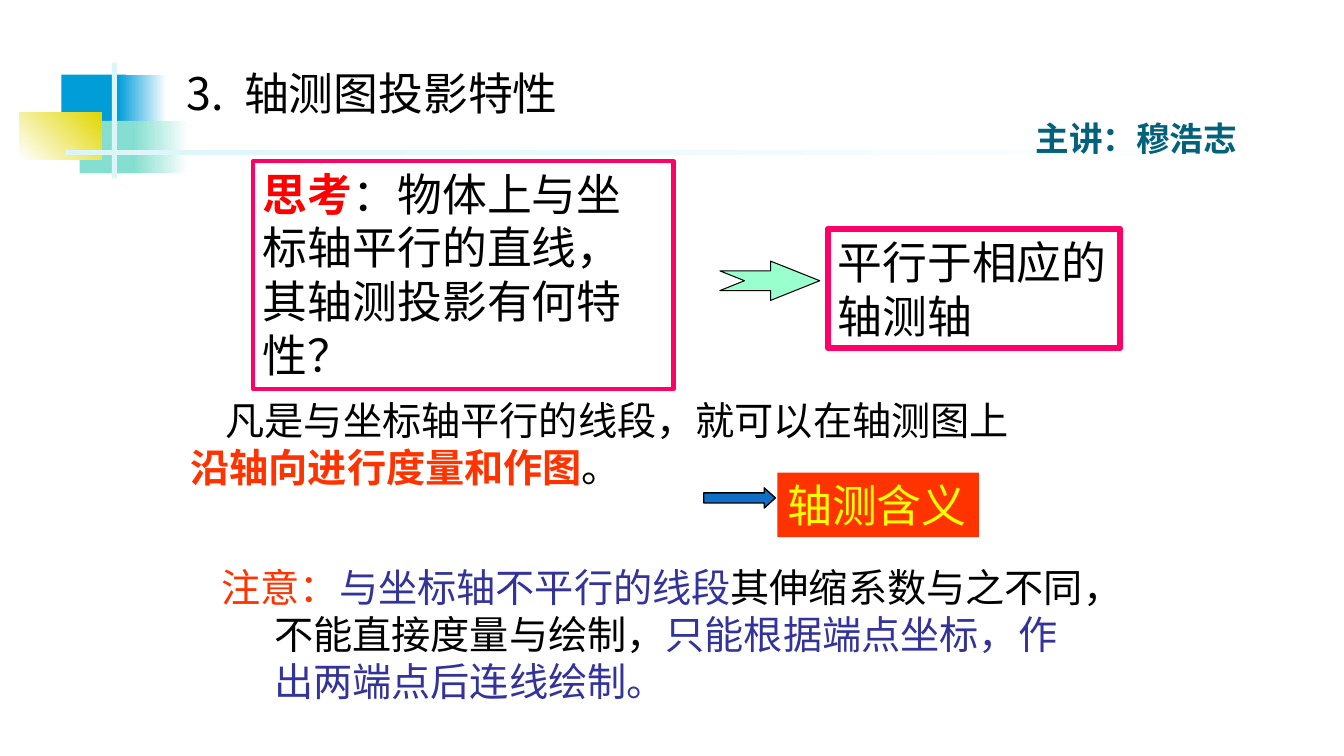
from dataclasses import dataclass

from lxml.etree import SubElement
from pptx import Presentation
from pptx.dml.color import RGBColor
from pptx.enum.shapes import MSO_SHAPE as Preset
from pptx.enum.text import MSO_ANCHOR as Anchor, MSO_AUTO_SIZE as AutoSize, PP_ALIGN as Align
from pptx.oxml.ns import qn
from pptx.util import Inches, Pt


@dataclass(frozen=True)
class Theme:
    font: str = "Noto Sans CJK SC"
    label_font: str = "Arial"
    black: str = "000000"
    white: str = "FFFFFF"
    blue: str = "009DD9"
    arrow_blue: str = "0F6FC6"
    mint: str = "85DFD0"
    arrow_mint: str = "99FFCC"
    pale: str = "DBF5F9"
    gold: str = "E2D700"
    teal: str = "04617B"
    pink: str = "FF0066"
    red: str = "FF0000"
    orange: str = "FF3300"
    indigo: str = "333399"
    yellow: str = "FFFF00"
    large: int = 32
    body: int = 28
    small: int = 24


THEME = Theme()


def color(value):
    return RGBColor.from_string(value)


def add_shape(slide, box, fill=None, line=None, width=1, fade=None, angle=0, preset=Preset.RECTANGLE):
    shape = slide.shapes.add_shape(preset, *map(Inches, box))
    shape.shadow.inherit = False
    if fade:
        shape.fill.gradient()
        shape.fill.gradient_angle = angle
        for stop, value in zip(shape.fill.gradient_stops, (fill, fade)):
            stop.color.rgb = color(value)
    elif fill:
        shape.fill.solid()
        shape.fill.fore_color.rgb = color(fill)
    else:
        shape.fill.background()
    if line:
        shape.line.color.rgb = color(line)
        shape.line.width = Pt(width)
    else:
        shape.line.fill.background()
    return shape


def add_arrow(slide, preset, box, fill, width, head):
    arrow = add_shape(slide, box, fill, THEME.black, width, preset=preset)
    arrow.adjustments[0] = 0.5
    arrow.adjustments[1] = head


def add_text_box(slide, box):
    return slide.shapes.add_textbox(*map(Inches, box))


def write(shape, lines, size, anchor=Anchor.MIDDLE, align=Align.LEFT, wrap=True,
          font=THEME.font, indents=()):
    frame = shape.text_frame
    frame.auto_size = AutoSize.NONE
    frame.word_wrap = wrap
    frame.vertical_anchor = anchor
    frame.text = "\n".join("".join(text for text, *_ in line) for line in lines)
    for paragraph, line in zip(frame.paragraphs, lines):
        paragraph.alignment = align
        paragraph.text = ""
        for text, value, *bold in line:
            run = paragraph.add_run()
            run.text = text
            run.font.size = Pt(size)
            run.font.bold = bool(bold)
            run.font.color.rgb = color(value)
            run.font.name = font
            SubElement(run.font._element, qn("a:ea")).set("typeface", font)
    for paragraph, indent in zip(frame.paragraphs, indents):
        paragraph._p.get_or_add_pPr().set("marL", str(Inches(indent)))


def add_title(slide, box, text):
    title = slide.shapes.title
    title.left, title.top, title.width, title.height = map(Inches, box)
    write(title, [[(text, THEME.black)]], THEME.large, Anchor.TOP, wrap=False)


def add_decoration(slide):
    add_shape(slide, (0.61, 0.74, 0.64, 0.52), THEME.blue)
    add_shape(slide, (1.17, 0.74, 0.48, 0.52), THEME.blue, fade=THEME.white)
    add_shape(slide, (0.79, 1.2, 0.62, 0.52), THEME.mint)
    add_shape(slide, (1.33, 1.2, 0.54, 0.52), THEME.mint, fade=THEME.white)
    add_shape(slide, (0.19, 1.12, 0.82, 0.46), THEME.white, fade=THEME.gold, angle=45)
    add_shape(slide, (1.11, 0.62, 0.05, 1.15), THEME.pale)
    add_shape(slide, (0.65, 1.49, 12, 0.05), THEME.pale, fade=THEME.white)


def main():
    presentation = Presentation()
    presentation.slide_width, presentation.slide_height = Inches(13.33), Inches(7.5)
    slide = presentation.slides.add_slide(presentation.slide_layouts[5])
    add_decoration(slide)
    add_title(slide, (1.75, 0.6, 4.02, 0.64), "3.  轴测图投影特性")

    lecturer = add_text_box(slide, (9.54, 1.11, 3.46, 0.51))
    write(lecturer, [[("主讲：穆浩志", THEME.teal, True)]], THEME.small, align=Align.CENTER)

    question = add_shape(slide, (2.51, 1.6, 4.17, 2.26), line=THEME.pink, width=3)
    write(question, [[("思考", THEME.red, True),
                      ("：物体上与坐标轴平行的直线，其轴测投影有何特性？", THEME.black)]],
          THEME.large, Anchor.TOP)

    answer = add_shape(slide, (8.21, 2.27, 2.9, 1.18), line=THEME.pink, width=4.5)
    write(answer, [[("平行于相应的轴测轴", THEME.black)]], THEME.large)
    add_arrow(slide, Preset.NOTCHED_RIGHT_ARROW, (7.14, 2.59, 0.99, 0.39), THEME.arrow_mint, 0.75, 1.25)

    rule = add_text_box(slide, (1.79, 3.88, 8.82, 1.03))
    write(rule, [[("凡是与坐标轴平行的线段，就可以在轴测图上", THEME.black)],
                 [("沿轴向进行度量和作图", THEME.orange, True), ("。", THEME.black)]],
          THEME.body, indents=(0.35, 0))

    note = add_text_box(slide, (2.1, 5.54, 9.35, 1.5))
    write(note, [[("注意：", THEME.orange), ("与坐标轴不平行的线段", THEME.indigo),
                  ("其伸缩系数与之不同，", THEME.black)],
                 [("不能直接度量与绘制，", THEME.black), ("只能根据端点坐标，作", THEME.indigo)],
                 [("出两端点后连线绘制。", THEME.indigo)]],
          THEME.body, indents=(0, 0.52, 0.52))

    meaning = add_shape(slide, (7.71, 4.69, 2, 0.64), THEME.orange)
    write(meaning, [[("轴测含义", THEME.yellow)]], THEME.large, wrap=False, font=THEME.label_font)
    add_arrow(slide, Preset.RIGHT_ARROW, (6.98, 4.84, 0.71, 0.2), THEME.arrow_blue, 1, 0.55)

    presentation.save("out.pptx")


if __name__ == "__main__":
    main()
